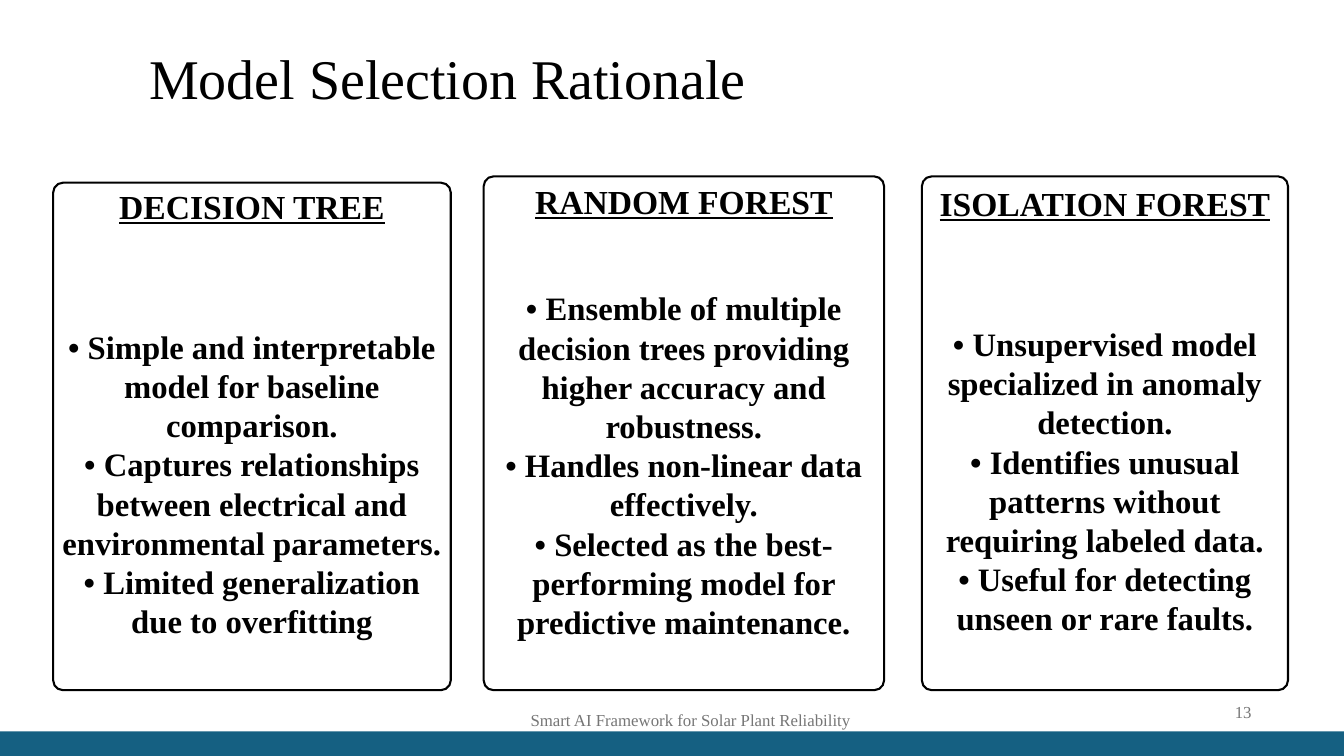
import pptx
import pptx.dml.color
import pptx.enum.shapes
import pptx.enum.text
import pptx.util

RGBColor = pptx.dml.color.RGBColor
ALIGN = pptx.enum.text.PP_ALIGN
ANCHOR = pptx.enum.text.MSO_ANCHOR
SHAPE = pptx.enum.shapes.MSO_SHAPE

BLACK = RGBColor(0x00, 0x00, 0x00)
WHITE = RGBColor(0xFF, 0xFF, 0xFF)
GREY = RGBColor(0x76, 0x76, 0x76)
TEAL = RGBColor(0x15, 0x60, 0x82)

WIDTH, HEIGHT = 1920, 1080
CARD_BOTTOM = 986

# Left, top, width, top inset, gap below heading in points, heading, points
CARDS = [
    (76, 261, 568, 0, 108, "DECISION TREE", [
        "Simple and interpretable model for baseline comparison.",
        "Captures relationships between electrical and environmental parameters.",
        "Limited generalization due to overfitting",
    ]),
    (691, 252, 572, 2, 72, "RANDOM FOREST", [
        "Ensemble of multiple decision trees providing higher accuracy and robustness.",
        "Handles non-linear data effectively.",
        "Selected as the best-performing model for predictive maintenance.",
    ]),
    (1317, 252, 523, 5, 108, "ISOLATION FOREST", [
        "Unsupervised model specialized in anomaly detection.",
        "Identifies unusual patterns without requiring labeled data.",
        "Useful for detecting unseen or rare faults.",
    ]),
]


def px(length):
    return pptx.util.Emu(length * 9525)


class SlideBuilder:
    FONT = "Times New Roman"
    LEADING = 1.2
    CARD_RADIUS = 14
    CARD_SIDE_INSET = 2

    def __init__(self, page):
        self.page = page

    def style_frame(self, frame, anchor, side=0, top=0):
        frame.word_wrap = True
        frame.vertical_anchor = anchor
        frame.margin_left = frame.margin_right = px(side)
        frame.margin_top, frame.margin_bottom = px(top), 0

    def add_text(self, para, text, size, color, align, bold=False, underline=False):
        para.alignment = align
        para.line_spacing = pptx.util.Pt(size * self.LEADING)
        span = para.add_run()
        span.text = text
        span.font.name = self.FONT
        span.font.size = pptx.util.Pt(size)
        span.font.color.rgb = color
        span.font.bold = bold
        span.font.underline = underline

    def label(self, left, top, width, height, text, size, color, align):
        box = self.page.shapes.add_textbox(px(left), px(top), px(width), px(height))
        self.style_frame(box.text_frame, ANCHOR.MIDDLE)
        self.add_text(box.text_frame.paragraphs[0], text, size, color, align)

    def shape(self, kind, left, top, width, height, fill):
        shape = self.page.shapes.add_shape(kind, px(left), px(top), px(width), px(height))
        shape.shadow.inherit = False
        shape.fill.solid()
        shape.fill.fore_color.rgb = fill
        shape.line.fill.background()
        return shape

    def card(self, left, top, width, inset, gap, heading, points):
        height = CARD_BOTTOM - top
        card = self.shape(SHAPE.ROUNDED_RECTANGLE, left, top, width, height, WHITE)
        card.adjustments[0] = self.CARD_RADIUS / min(width, height)
        card.line.color.rgb = BLACK
        card.line.width = pptx.util.Pt(2.25)
        frame = card.text_frame
        self.style_frame(frame, ANCHOR.TOP, self.CARD_SIDE_INSET, inset)
        title = frame.paragraphs[0]
        self.add_text(title, heading, 36, BLACK, ALIGN.CENTER, bold=True, underline=True)
        title.space_after = pptx.util.Pt(gap)
        for point in points:
            self.add_text(frame.add_paragraph(), f"• {point}", 35, BLACK, ALIGN.CENTER, bold=True)


def main():
    deck = pptx.Presentation()
    deck.slide_width, deck.slide_height = px(WIDTH), px(HEIGHT)
    builder = SlideBuilder(deck.slides.add_slide(deck.slide_layouts[6]))

    # Bottom band
    builder.shape(SHAPE.RECTANGLE, 0, 1045, WIDTH, 35, TEAL)

    # Title, footer and page number
    builder.label(213, 7, 1656, 205, "Model Selection Rationale", 60, BLACK, ALIGN.LEFT)
    builder.label(132, 999, 1709, 59, "Smart AI Framework for Solar Plant Reliability",
                  18, GREY, ALIGN.CENTER)
    builder.label(1356, 999, 432, 37, "13", 18, GREY, ALIGN.RIGHT)

    # Model cards
    for card in CARDS:
        builder.card(*card)

    deck.save("out.pptx")


if __name__ == "__main__":
    main()
